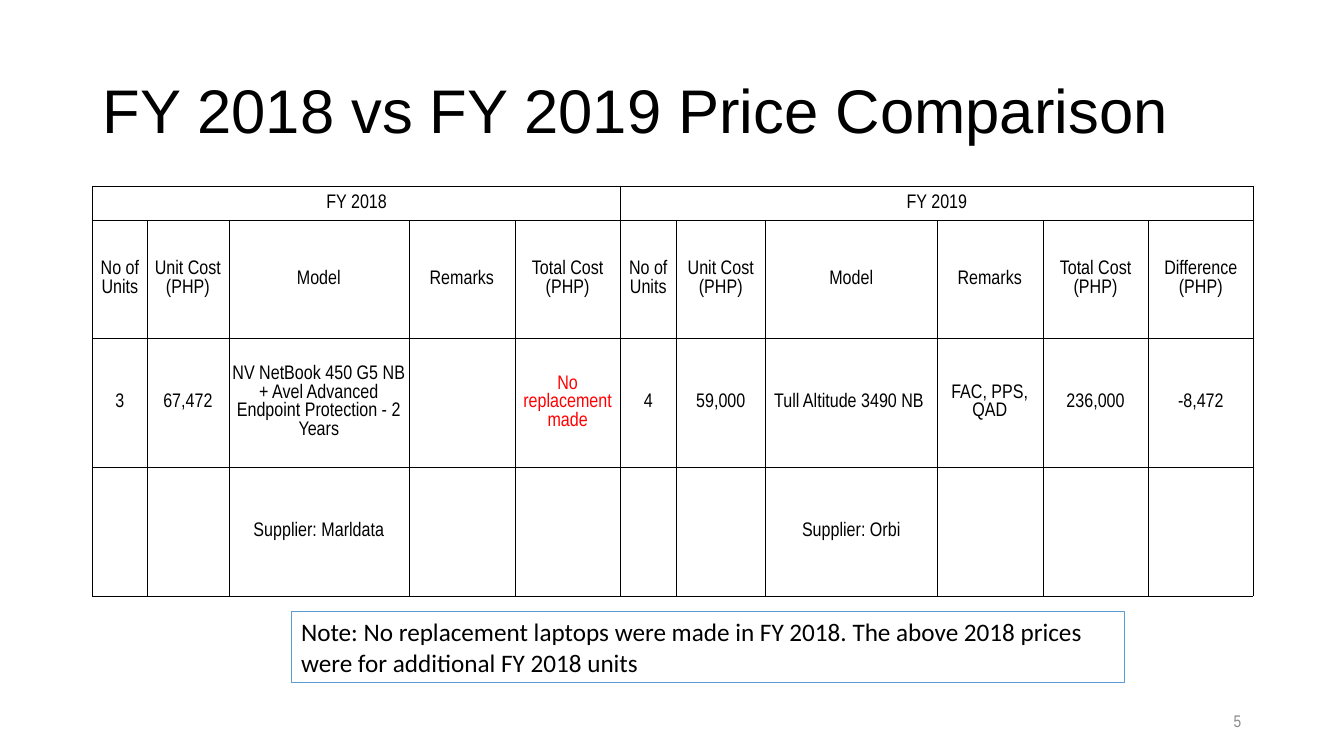
from lxml import etree
from pptx import Presentation
from pptx.dml.color import RGBColor
from pptx.enum.shapes import MSO_SHAPE
from pptx.enum.text import MSO_ANCHOR, MSO_AUTO_SIZE, PP_ALIGN
from pptx.oxml.ns import qn
from pptx.util import Inches, Pt

BLACK = RGBColor(0, 0, 0)
RED = RGBColor(0xFF, 0, 0)
GRAY = RGBColor(0x89, 0x89, 0x89)
BLUE = RGBColor(0x5B, 0x9B, 0xD5)
WHITE = RGBColor(0xFF, 0xFF, 0xFF)

THICK, THIN = Pt(0.45), Pt(0.23)
FY2018_COLS = 5
COL_WIDTHS = [0.54, 0.81, 1.79, 1.05, 1.05, 0.55, 0.89, 1.7, 1.05, 1.05, 1.04]
ROW_HEIGHTS = [0.32, 1.17, 1.28, 1.28]
HEADS = ["No of Units", "Unit Cost (PHP)", "Model", "Remarks", "Total Cost (PHP)"]
ROWS = [
    ["FY 2018", "", "", "", "", "FY 2019", "", "", "", "", ""],
    HEADS + HEADS + ["Difference (PHP)"],
    ["3", "67,472",
     "NV NetBook 450 G5 NB + Avel Advanced Endpoint Protection - 2 Years",
     "", "No replacement made", "4", "59,000", "Tull Altitude 3490 NB ",
     "FAC, PPS, QAD", "236,000", "-8,472"],
    ["", "", "Supplier: Marldata", "", "", "", "", "Supplier: Orbi", "", "", ""],
]


def write(tf, text, size, font, color=BLACK, align=PP_ALIGN.LEFT):
    """Put one formatted run in the first paragraph of a text frame."""
    p = tf.paragraphs[0]
    p.alignment = align
    r = p.add_run()
    r.text = text
    r.font.size = Pt(size)
    r.font.name = font
    r.font.color.rgb = color


def set_borders(cell, widths):
    """Draw black borders in the order left, right, top, bottom."""
    tc_pr = cell._tc.get_or_add_tcPr()
    for side, width in zip("LRTB", widths):
        ln = etree.SubElement(tc_pr, qn(f"a:ln{side}"), w=str(width))
        fill = etree.SubElement(ln, qn("a:solidFill"))
        etree.SubElement(fill, qn("a:srgbClr"), val=str(BLACK))


def add_title(s, x, y, w, h):
    """Place and format the title."""
    sp = s.shapes.title
    sp.left, sp.top, sp.width, sp.height = map(Inches, (x, y, w, h))
    tf = sp.text_frame
    tf.auto_size = MSO_AUTO_SIZE.NONE
    tf.vertical_anchor = MSO_ANCHOR.MIDDLE
    write(tf, "FY 2018 vs FY 2019 Price Comparison", 44, "Arial")
    tf.paragraphs[0].line_spacing = 0.9


def add_price_table(s, x, y, w, h):
    """Build the two-year price comparison table."""
    n_rows, n_cols = len(ROWS), len(COL_WIDTHS)
    table = s.shapes.add_table(n_rows, n_cols, *map(Inches, (x, y, w, h))).table
    table.first_row = table.horz_banding = False
    for col, width in zip(table.columns, COL_WIDTHS):
        col.width = Inches(width)
    for row, height in zip(table.rows, ROW_HEIGHTS):
        row.height = Inches(height)
    for i, texts in enumerate(ROWS):
        left_edges = {0, FY2018_COLS} if i == 0 else {0}
        for j, text in enumerate(texts):
            cell = table.cell(i, j)
            edges = (j in left_edges, j + 1 in left_edges | {n_cols},
                     i == 0, i == n_rows - 1)
            set_borders(cell, [THICK if edge else THIN for edge in edges])
            cell.fill.background()
            cell.vertical_anchor = MSO_ANCHOR.MIDDLE
            cell.margin_left = cell.margin_right = Inches(0.01)
            if text:
                color = RED if text == "No replacement made" else BLACK
                write(cell.text_frame, text, 14, "Arial Narrow", color, PP_ALIGN.CENTER)
    table.cell(0, 0).merge(table.cell(0, FY2018_COLS - 1))
    table.cell(0, FY2018_COLS).merge(table.cell(0, n_cols - 1))


def add_note(s, x, y, w, h):
    """Add the outlined note below the table."""
    sp = s.shapes.add_shape(MSO_SHAPE.RECTANGLE, *map(Inches, (x, y, w, h)))
    sp.shadow.inherit = False
    sp.fill.background()
    sp.line.color.rgb = BLUE
    sp.line.width = Pt(0.75)
    tf = sp.text_frame
    tf.word_wrap = True
    tf.auto_size = MSO_AUTO_SIZE.SHAPE_TO_FIT_TEXT
    tf.vertical_anchor = MSO_ANCHOR.TOP
    write(tf, "Note: No replacement laptops were made in FY 2018. "
          "The above 2018 prices were for additional FY 2018 units", 18, "Calibri")


def add_page_number(s, x, y, w, h):
    """Add the page number at the lower right."""
    tf = s.shapes.add_textbox(*map(Inches, (x, y, w, h))).text_frame
    tf.word_wrap = True
    tf.vertical_anchor = MSO_ANCHOR.MIDDLE
    write(tf, "5", 12, "Arial Narrow", GRAY, PP_ALIGN.RIGHT)


def main():
    """Build and save the slide."""
    prs = Presentation()
    prs.slide_width, prs.slide_height = Inches(13.34), Inches(7.5)
    s = prs.slides.add_slide(prs.slide_layouts[5])
    s.background.fill.solid()
    s.background.fill.fore_color.rgb = WHITE
    add_title(s, 0.92, 0.4, 11.5, 1.45)
    add_page_number(s, 9.42, 6.95, 3, 0.4)
    add_price_table(s, 0.92, 1.85, 11.5, 4.05)
    add_note(s, 2.89, 6.07, 8.27, 0.7)
    prs.save("out.pptx")


if __name__ == "__main__":
    main()
